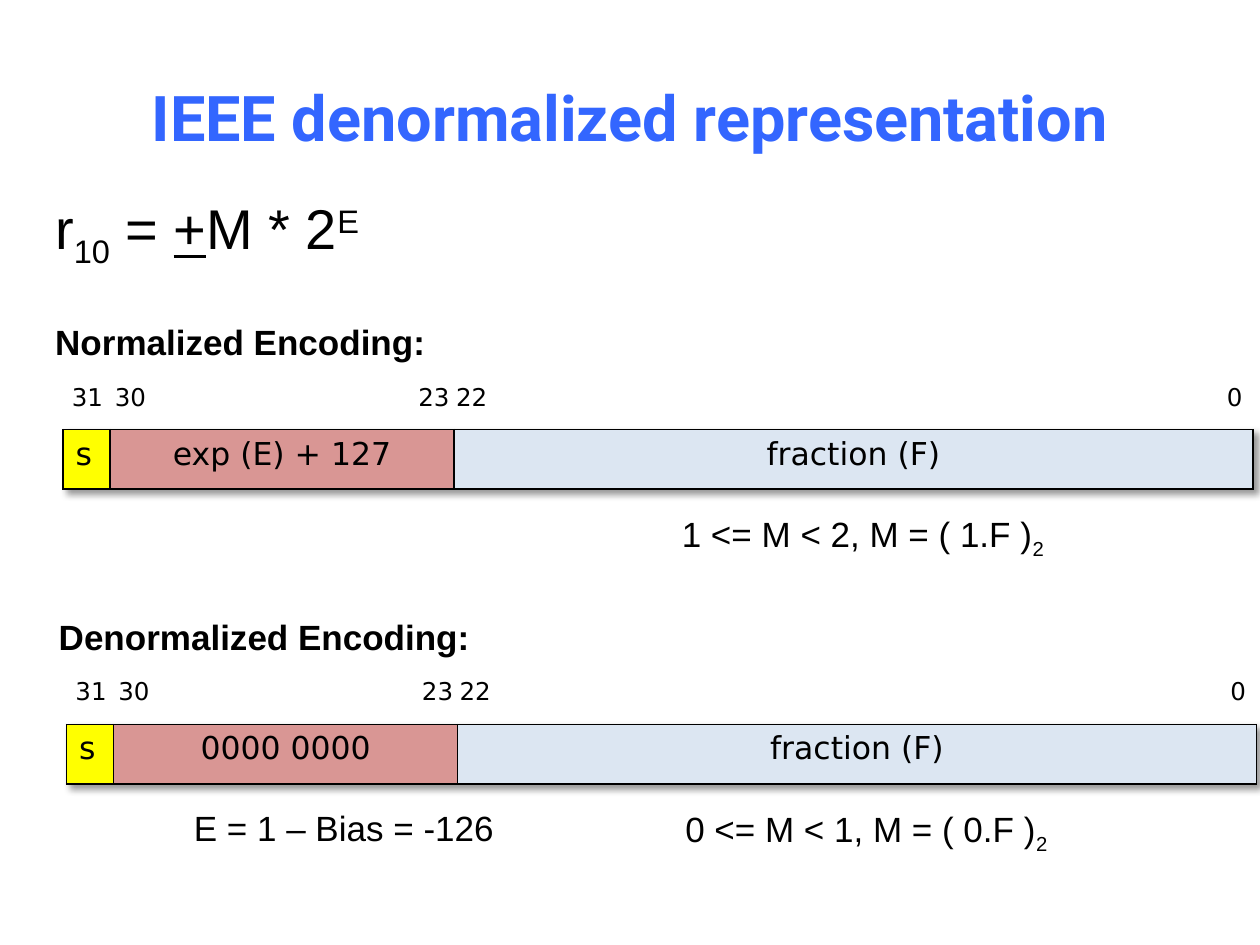
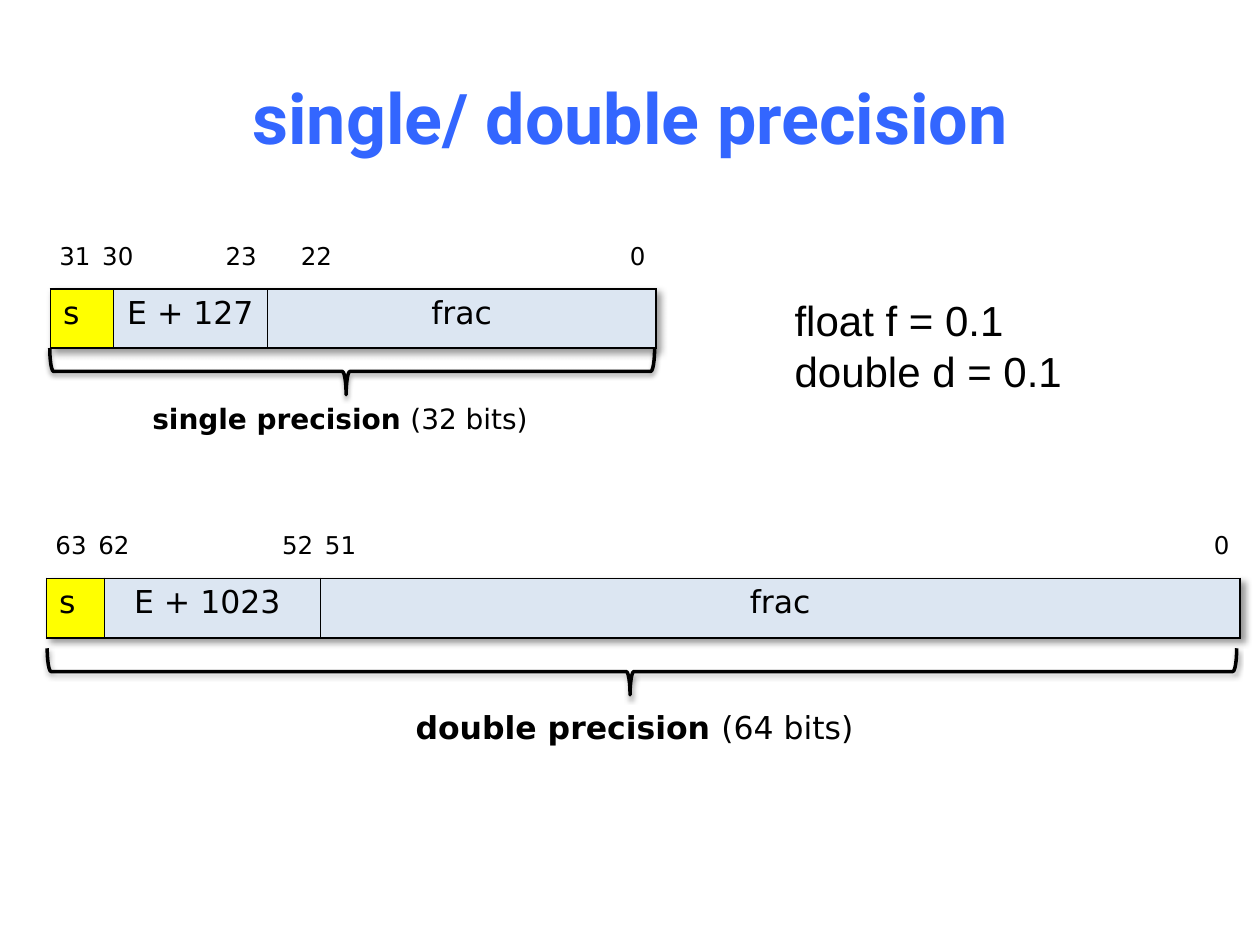
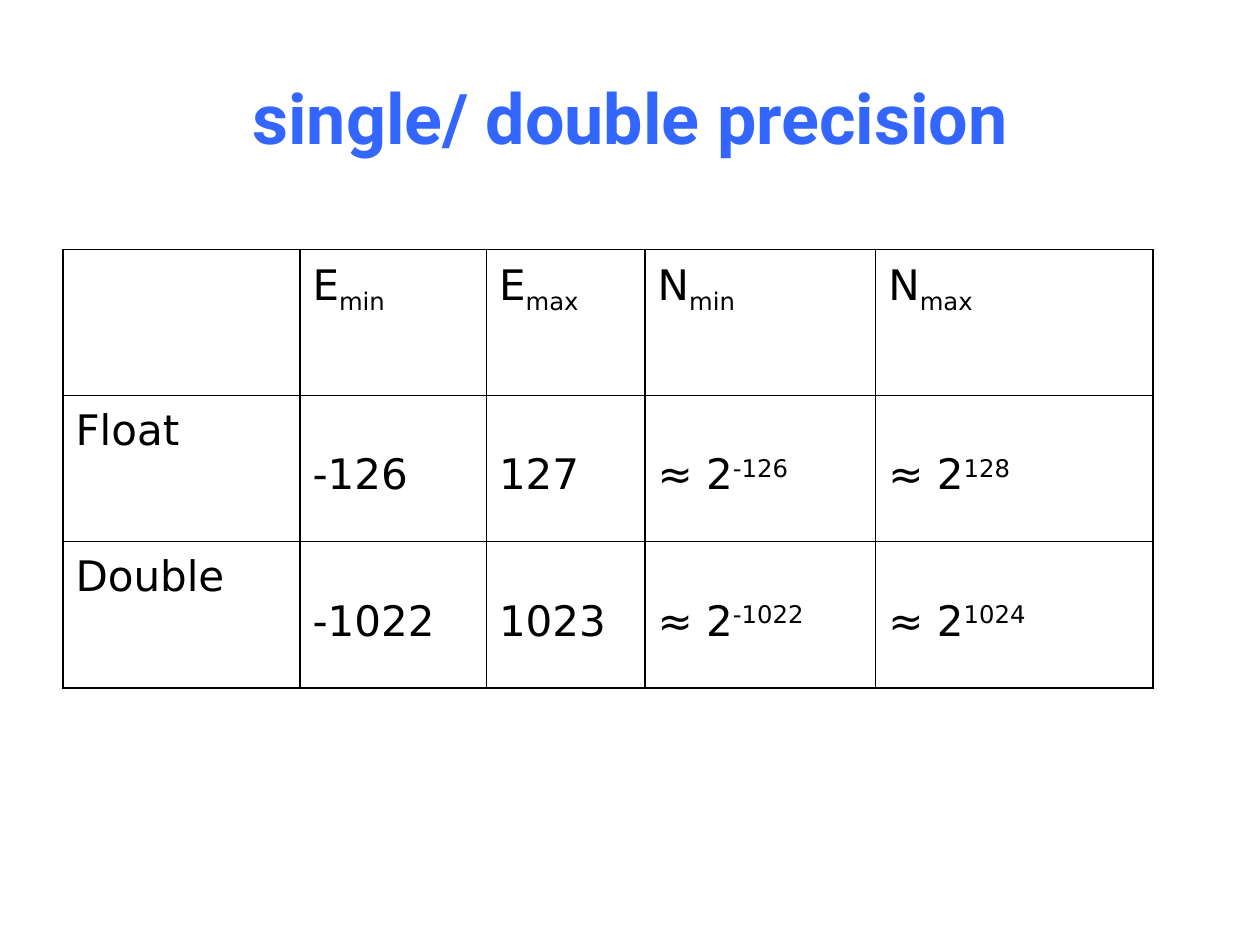
"""Build three slides on IEEE floating-point encodings."""
from itertools import product

from pptx import Presentation
from pptx.dml.color import RGBColor
from pptx.enum.shapes import MSO_SHAPE as Shape
from pptx.enum.text import MSO_ANCHOR as Anchor, MSO_AUTO_SIZE as AutoSize, PP_ALIGN as Align
from pptx.oxml import parse_xml
from pptx.oxml.ns import nsdecls
from pptx.util import Pt

BLUE = RGBColor(0x33, 0x66, 0xFF)
BLACK = RGBColor(0, 0, 0)
YELLOW = RGBColor(0xFF, 0xFF, 0)
ROSE = RGBColor(0xD9, 0x96, 0x94)
PALE = RGBColor(0xDC, 0xE6, 0xF2)
TITLE_FONT, BODY_FONT, BIT_FONT = "Roboto", "Arial", "DejaVu Sans"
SUB, SUP = {"baseline": -25}, {"baseline": 30}
BOLD, UNDERLINE = {"bold": True}, {"underline": True}
ROW_HEIGHT = 34


class Deck:
    def __init__(self):
        self.prs = Presentation()
        self.prs.slide_width, self.prs.slide_height = Pt(720), Pt(540)
        self.slide = None

    def add_slide(self, title, size):
        self.slide = self.prs.slides.add_slide(self.prs.slide_layouts[5])
        heading = self.slide.shapes.title
        heading.left, heading.top, heading.width, heading.height = Pt(36), Pt(21.6), Pt(648), Pt(90)
        heading.text_frame.vertical_anchor = Anchor.MIDDLE
        self.add_runs(heading.text_frame.paragraphs[0], [(title, BOLD)], size, TITLE_FONT, BLUE, Align.CENTER)

    def add_runs(self, paragraph, runs, size, font, color=BLACK, align=Align.LEFT):
        paragraph.alignment = align
        for text, style in runs:
            run = paragraph.add_run()
            run.text = text
            run.font.name, run.font.size = font, Pt(size)
            run.font.bold = style.get("bold", False)
            run.font.underline = style.get("underline", False)
            run.font.color.rgb = color
            if "baseline" in style:
                run._r.get_or_add_rPr().set("baseline", str(style["baseline"] * 1000))

    def text(self, left, top, width, height, lines, size, font=BODY_FONT, wrap=False):
        box = self.slide.shapes.add_textbox(Pt(left), Pt(top), Pt(width), Pt(height))
        frame = box.text_frame
        frame.word_wrap, frame.auto_size = wrap, AutoSize.SHAPE_TO_FIT_TEXT
        for index, runs in enumerate(lines):
            paragraph = frame.add_paragraph() if index else frame.paragraphs[0]
            self.add_runs(paragraph, runs, size, font)

    def shadow(self, blur, distance, angle, alpha):
        return parse_xml(
            f'<a:outerShdw {nsdecls("a")} blurRad="{Pt(blur)}" dist="{Pt(distance)}" '
            f'dir="{angle * 60000}" rotWithShape="0"><a:srgbClr val="{BLACK}">'
            f'<a:alpha val="{alpha * 1000}"/></a:srgbClr></a:outerShdw>')

    def table(self, left, top, widths, heights):
        frame = self.slide.shapes.add_table(
            len(heights), len(widths), Pt(left), Pt(top), Pt(sum(widths)), Pt(sum(heights)))
        table = frame.table
        table.first_row = table.horz_banding = False
        for column, width in zip(table.columns, widths):
            column.width = Pt(width)
        for row, height in zip(table.rows, heights):
            row.height = Pt(height)
        for cell, side in product(table.iter_cells(), "LRTB"):
            cell._tc.get_or_add_tcPr().append(parse_xml(
                f'<a:ln{side} {nsdecls("a")} w="{Pt(1)}"><a:solidFill>'
                f'<a:srgbClr val="{BLACK}"/></a:solidFill></a:ln{side}>'))
        return table

    def register(self, left, top, widths, fields, fills, bits, low, high):
        table = self.table(left, top, widths, [ROW_HEIGHT])
        effects = parse_xml(f'<a:effectLst {nsdecls("a")}/>')
        effects.append(self.shadow(4, 3, 45, 40))
        table._tbl.tblPr.insert(0, effects)
        aligns = Align.LEFT, Align.CENTER, Align.CENTER
        for cell, field, fill, align in zip(table.iter_cells(), fields, fills, aligns):
            cell.fill.solid()
            cell.fill.fore_color.rgb = fill
            self.add_runs(cell.text_frame.paragraphs[0], [(field, {})], 18, BIT_FONT, align=align)
        offsets = -2, 22.5, low, high, sum(widths) - 22
        for bit, offset in zip(bits, offsets):
            width = 8.6 * len(bit) + 15.2
            self.text(left + offset, top - 31, width, 24.5, [[(bit, {})]], 14, BIT_FONT)

    def brace(self, left, top, span, depth=26.6):
        brace = self.slide.shapes.add_shape(
            Shape.LEFT_BRACE, Pt(left + (span - depth) / 2), Pt(top - (span - depth) / 2), Pt(depth), Pt(span))
        brace.rotation = 90
        brace.adjustments[0], brace.adjustments[1] = 0.083, 0.49
        properties = brace._element.spPr
        properties.xfrm.set("flipH", "1")
        properties.xfrm.set("flipV", "1")
        brace.fill.background()
        brace.line.color.rgb, brace.line.width = BLACK, Pt(2)
        brace.shadow.inherit = False
        properties.find("{*}effectLst").append(self.shadow(3.1, 1.6, 90, 38))

    def encoding(self, left, top, name, exponent, mantissa):
        self.text(left - 11.5, top - 66, 670, 64, [[(name, BOLD)]], 20, wrap=True)
        self.register(left, top, [27, 196.5, 456.5], ["s", exponent, "fraction (F)"],
                      [YELLOW, ROSE, PALE], ["31", "30", "23", "22", "0"], 196, 217.5)
        self.text(left + 346.5, top + 44, 222.5, 31.5, [[(mantissa, {}), ("2", SUB)]], 20)

    def limits(self, left, top, widths, heights, rows):
        table = self.table(left, top, widths, heights)
        for (r, c), runs in zip(product(range(len(heights)), range(len(widths))), sum(rows, [])):
            cell = table.cell(r, c)
            cell.fill.background()
            paragraph = cell.text_frame.paragraphs[0]
            paragraph.line_spacing = 2.0 if r and c else 1.1
            self.add_runs(paragraph, runs, 24, BIT_FONT)


def limit_row(name, e_min, e_max, n_max):
    powers = [[("≈ 2", {}), (power, SUP)] for power in (e_min, n_max)]
    return [[(text, {})] for text in (name, e_min, e_max)] + powers


def main():
    deck = Deck()

    deck.add_slide("IEEE denormalized representation", 36)
    deck.text(24.5, 107.3, 631, 72, [[("r", {}), ("10", SUB), (" = ", {}), ("+", UNDERLINE),
                                    ("M * 2", {}), ("E", SUP)]], 32, wrap=True)
    deck.encoding(36, 245.5, "Normalized Encoding:", "exp (E) + 127", "1 <= M < 2, M = ( 1.F )")
    deck.encoding(38, 414, "Denormalized Encoding:", "0000 0000", "0 <= M < 1, M = ( 0.F )")
    deck.text(103.7, 457.2, 187, 31.5, [[("E = 1 – Bias = -126", {})]], 20)

    deck.add_slide("single/ double precision", 40)
    fills = [YELLOW, PALE, PALE]
    deck.register(28.8, 165, [36, 88, 222], ["s", "E + 127", "frac"], fills,
                  ["31", "30", "23", "22", "0"], 93, 136)
    deck.brace(28.5, 199, 345.6)
    deck.text(80, 226, 232.5, 26.6, [[("single precision ", BOLD), ("(32 bits)", {})]], 16, BIT_FONT)
    deck.register(26.6, 330.5, [33, 123.5, 525.5], ["s", "E + 1023 ", "frac"], fills,
                  ["63", "62", "52", "51", "0"], 127.5, 152)
    deck.brace(27, 370.5, 679.7)
    deck.text(230.4, 401, 268, 29, [[("double precision ", BOLD), ("(64 bits)", {})]], 18, BIT_FONT)
    deck.text(447, 165, 168.5, 65.5, [[("float f = 0.1", {})], [("double d = 0.1", {})]], 24)

    deck.add_slide("single/ double precision", 40)
    header = [[]] + [[(symbol, {}), (bound, SUB)] for symbol, bound in product("EN", ("min", "max"))]
    deck.limits(36, 142.6, [135.4, 106.6, 90.7, 131.8, 158.4], [83.5] * 3, [
        header,
        limit_row("Float", "-126", "127", "128"),
        limit_row("Double", "-1022", "1023", "1024"),
    ])

    deck.prs.save("out.pptx")


if __name__ == "__main__":
    main()
